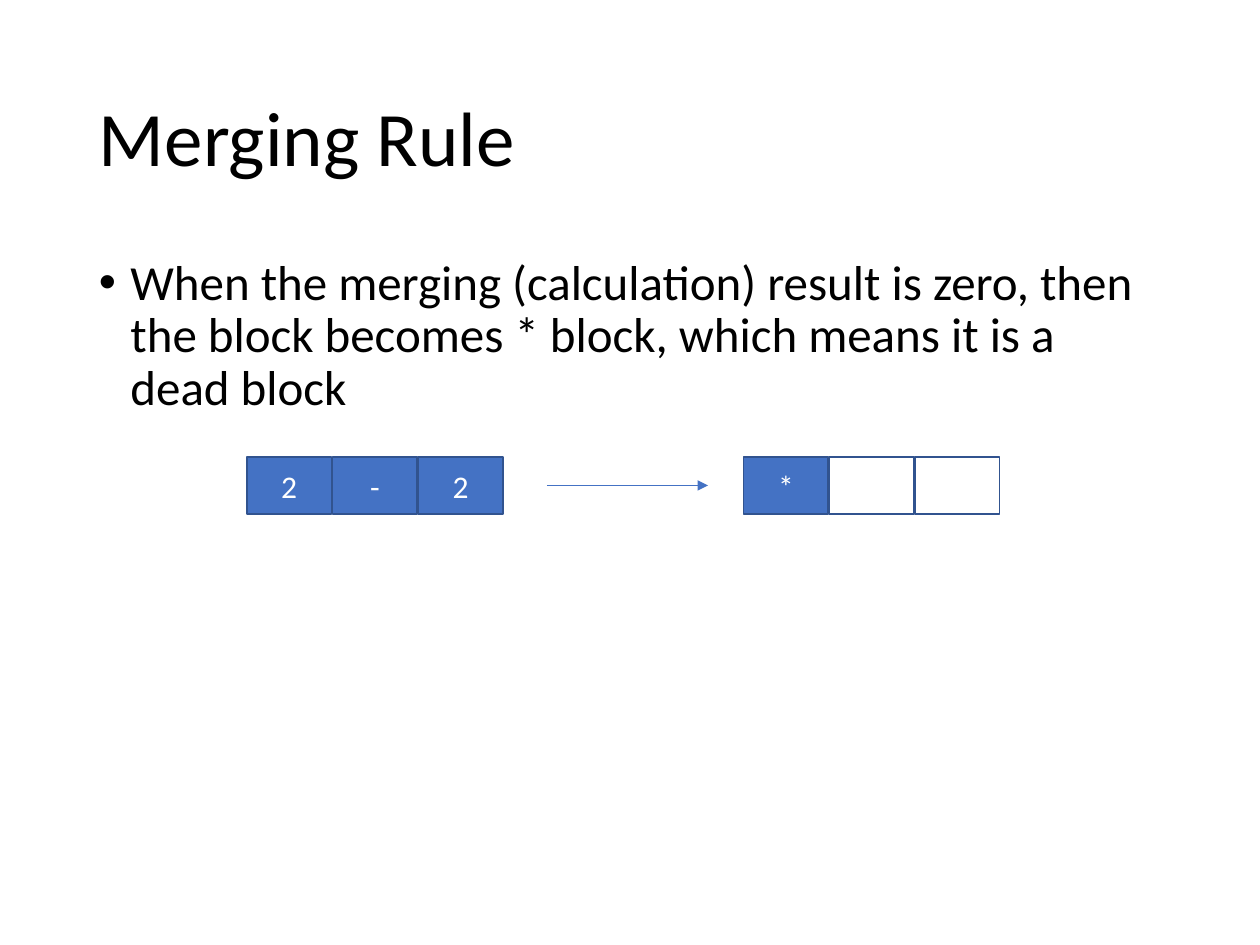
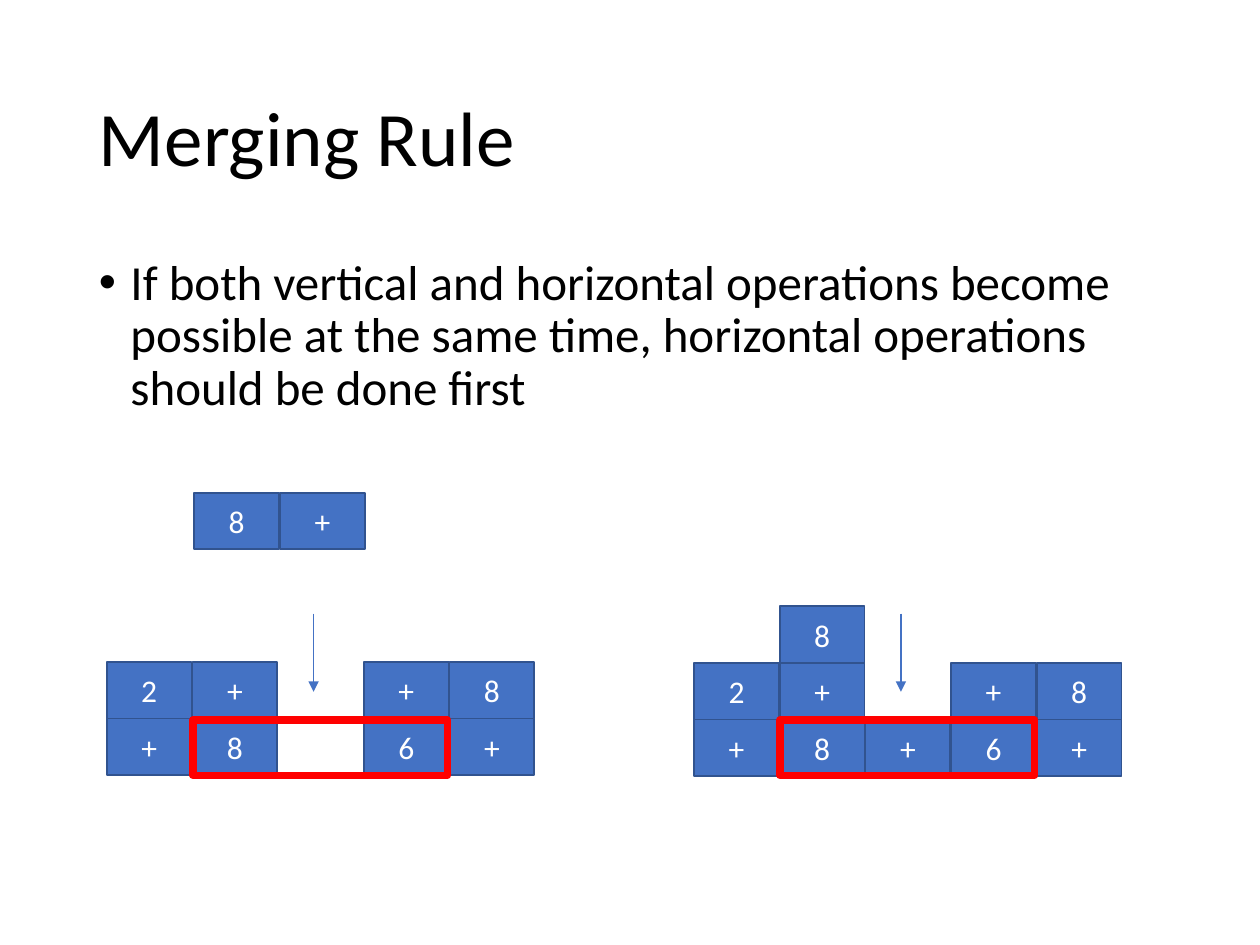
from dataclasses import dataclass

from lxml import etree
from pptx import Presentation
from pptx.dml.color import RGBColor
from pptx.enum import shapes, text
from pptx.oxml import ns
from pptx.util import Pt


@dataclass(frozen=True)
class Theme:
    font: str = "Calibri"
    ink: str = "000000"
    paper: str = "FFFFFF"
    block: str = "4472C4"
    edge: str = "31538F"
    highlight: str = "FF0000"
    title_size: float = 44
    body_size: float = 28
    block_size: float = 18


THEME = Theme()
TITLE = "Merging Rule"

# Block grid, in points
BLOCK_W, BLOCK_H = 48.5, 32.4
PITCH_X, PITCH_Y = 48.96, 32.4
GAP = None  # a grid place without a block


def color(value):
    return RGBColor.from_string(value)


def add_span(para, words, size, ink):
    span = para.add_run()
    span.text = words
    span.font.name = THEME.font
    span.font.size = Pt(size)
    span.font.color.rgb = color(ink)


def add_text(page, words, top, height, size, anchor):
    box = page.shapes.add_textbox(Pt(49.5), Pt(top), Pt(621), Pt(height))
    frame = box.text_frame
    frame.word_wrap = True
    frame.vertical_anchor = anchor
    para = frame.paragraphs[0]
    para.line_spacing = 0.9
    add_span(para, words, size, THEME.ink)
    return para


def add_bullet(para):
    props = para._p.get_or_add_pPr()
    props.set("marL", str(Pt(18)))
    props.set("indent", str(-Pt(18)))
    font = etree.SubElement(props, ns.qn("a:buFont"))
    font.set("typeface", "Arial")
    mark = etree.SubElement(props, ns.qn("a:buChar"))
    mark.set("char", "•")


def add_rule_page(deck, rule):
    """A blank page with the shared title and one bulleted rule."""
    page = deck.slides.add_slide(deck.slide_layouts[6])
    add_text(page, TITLE, 28.75, 104.4, THEME.title_size, text.MSO_ANCHOR.MIDDLE)
    add_bullet(add_text(page, rule, 143.75, 343, THEME.body_size, text.MSO_ANCHOR.TOP))
    return page


def add_rect(page, left, top, width, height, fill, edge, weight):
    rect = page.shapes.add_shape(
        shapes.MSO_SHAPE.RECTANGLE, Pt(left), Pt(top), Pt(width), Pt(height))
    rect.shadow.inherit = False
    if fill:
        rect.fill.solid()
        rect.fill.fore_color.rgb = color(fill)
    else:
        rect.fill.background()
    rect.line.color.rgb = color(edge)
    rect.line.width = Pt(weight)
    return rect


def add_block(page, left, top, label):
    """A filled block with its label; an empty label leaves a white block."""
    fill = THEME.block if label else THEME.paper
    block = add_rect(page, left, top, BLOCK_W, BLOCK_H, fill, THEME.edge, 1)
    if label:
        frame = block.text_frame
        frame.vertical_anchor = text.MSO_ANCHOR.MIDDLE
        para = frame.paragraphs[0]
        para.alignment = text.PP_ALIGN.CENTER
        add_span(para, label, THEME.block_size, THEME.paper)


def add_blocks(page, left, top, rows):
    for row, labels in enumerate(rows):
        for column, label in enumerate(labels):
            if label is not GAP:
                add_block(page, left + column * PITCH_X, top + row * PITCH_Y, label)


def add_arrow(page, x1, y1, x2, y2):
    arrow = page.shapes.add_connector(
        shapes.MSO_CONNECTOR.STRAIGHT, Pt(x1), Pt(y1), Pt(x2), Pt(y2))
    arrow.line.color.rgb = color(THEME.block)
    arrow.line.width = Pt(0.75)
    head = etree.SubElement(arrow.line._get_or_add_ln(), ns.qn("a:tailEnd"))
    head.set("type", "triangle")
    etree.SubElement(arrow._element.spPr, ns.qn("a:effectLst"))


def add_board(page, left, bottom_row, rows):
    """Stacked blocks, a falling arrow and a frame round the row to merge."""
    add_blocks(page, left, bottom_row - (len(rows) - 1) * PITCH_Y, rows)
    add_arrow(page, left + 118.2, 350.6, left + 118.2, 395.3)
    add_rect(page, left + 49.2, 411.4, 145.5, 31.7, None, THEME.highlight, 4.25)


def main():
    deck = Presentation()
    deck.slide_width, deck.slide_height = Pt(720), Pt(540)

    # A zero result turns into a dead block
    page = add_rule_page(
        deck, "When the merging (calculation) result is zero, then the block "
              "becomes * block, which means it is a dead block")
    add_blocks(page, 141, 261.2, [["2", "-", "2"]])
    add_arrow(page, 312.5, 277.4, 404.6, 277.4)
    add_blocks(page, 424.8, 261.2, [["*", "", ""]])

    # Horizontal operations come before vertical ones
    page = add_rule_page(
        deck, "If both vertical and horizontal operations become possible at the "
              "same time, horizontal operations should be done first")
    add_blocks(page, 111, 281.5, [["8", "+"]])
    add_board(page, 61, 410.6, [["2", "+", GAP, "+", "8"],
                                ["+", "8", GAP, "6", "+"]])
    add_board(page, 396.6, 411.2, [[GAP, "8", GAP, GAP, GAP],
                                   ["2", "+", GAP, "+", "8"],
                                   ["+", "8", "+", "6", "+"]])

    deck.save("out.pptx")


if __name__ == "__main__":
    main()
